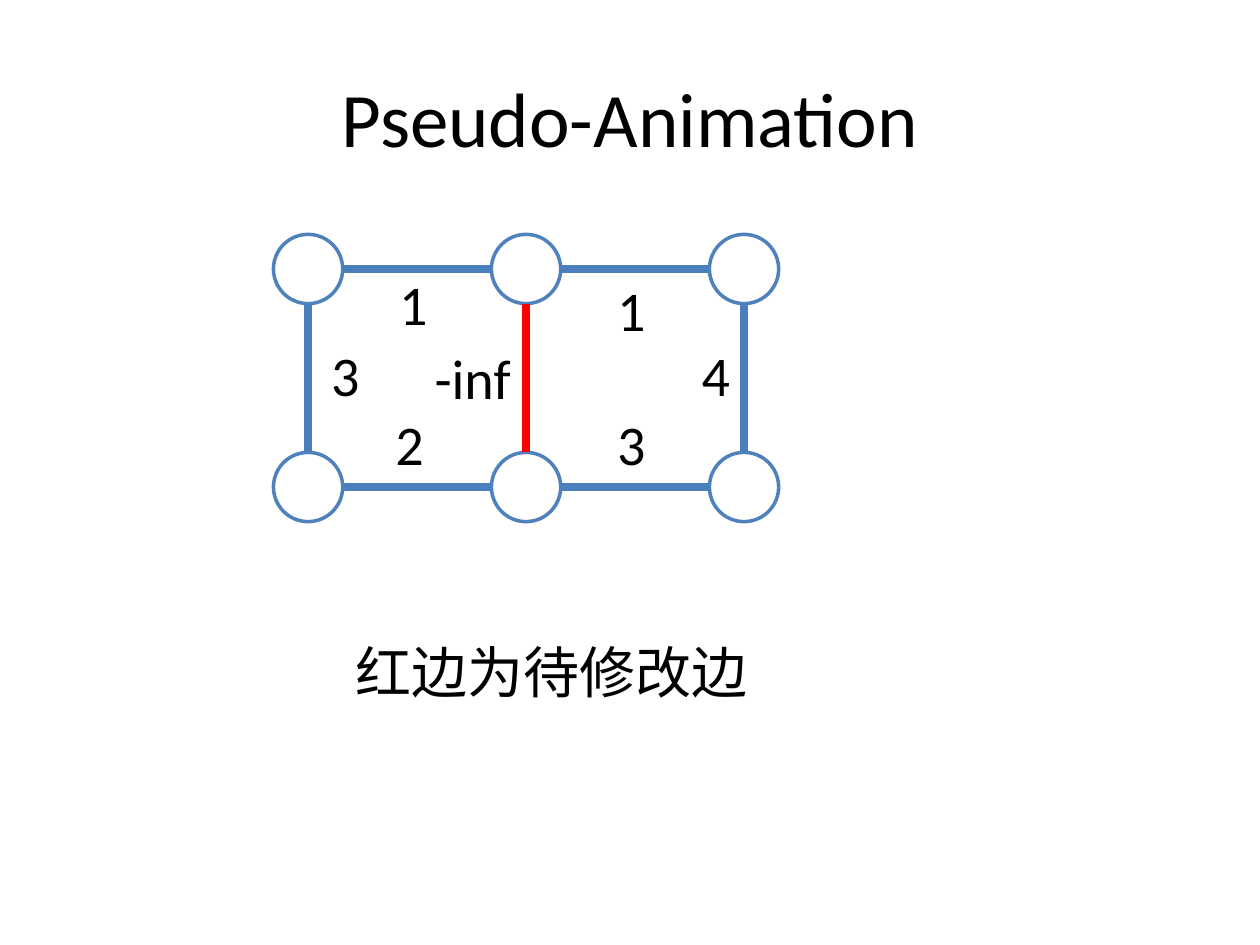
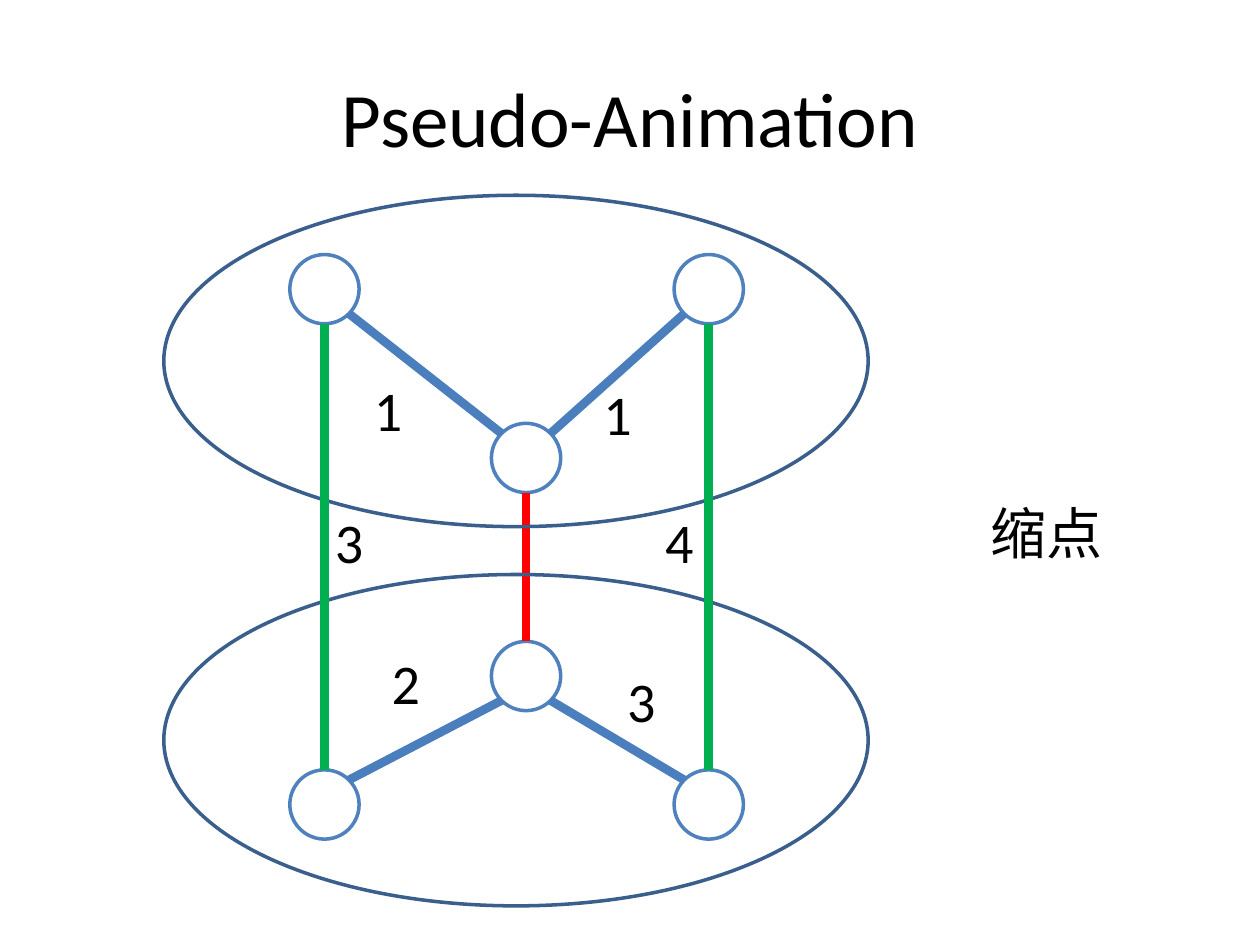
from dataclasses import dataclass
from math import cos, radians, sin

from lxml.etree import SubElement
from pptx import Presentation
from pptx.dml.color import RGBColor
from pptx.enum.shapes import MSO_CONNECTOR, MSO_SHAPE
from pptx.enum.text import MSO_ANCHOR, MSO_AUTO_SIZE, PP_ALIGN
from pptx.oxml.ns import qn
from pptx.shapes.autoshape import Shape
from pptx.slide import Slide
from pptx.util import Inches, Pt

FONT = "Calibri"
BLACK = "000000"
WHITE = "FFFFFF"
NODE_BLUE = "4F81BD"
EDGE_BLUE = "4B7EBC"
GROUP_BLUE = "3A5F8C"
RED = "FF0000"
GREEN = "00B050"
NODE_SIZE = 0.55
LABEL_HEIGHT = 0.64

# Connection sites of an ellipse, counted counterclockwise from the top
TOP, TOP_LEFT, LEFT, BOTTOM_LEFT, BOTTOM, BOTTOM_RIGHT, RIGHT, TOP_RIGHT = range(8)


@dataclass(frozen=True)
class Edge:
    start: str
    start_site: int
    end: str
    end_site: int
    color: str = EDGE_BLUE


@dataclass(frozen=True)
class Label:
    text: str
    left: float
    top: float
    width: float = 0.47
    wrap: bool = True


def rgb(color: str) -> RGBColor:
    return RGBColor.from_string(color)


def style_text(shape: Shape, text: str, size: int) -> None:
    shape.text_frame.text = text
    paragraph = shape.text_frame.paragraphs[0]
    paragraph.font.name = FONT
    paragraph.font.size = Pt(size)
    paragraph.font.color.rgb = rgb(BLACK)


def add_page(deck: Presentation) -> Slide:
    """Add a slide with the shared title."""
    page = deck.slides.add_slide(deck.slide_layouts[5])
    title = page.shapes.title
    title.left, title.top = Inches(0.5), Inches(0.3)
    title.width, title.height = Inches(9), Inches(1.25)
    style_text(title, "Pseudo-Animation", 44)
    title.text_frame.vertical_anchor = MSO_ANCHOR.MIDDLE
    title.text_frame.paragraphs[0].alignment = PP_ALIGN.CENTER
    return page


def add_ellipse(page: Slide, left: float, top: float, width: float,
                height: float, line: str, fill: str | None = None) -> Shape:
    ellipse = page.shapes.add_shape(
        MSO_SHAPE.OVAL, Inches(left), Inches(top), Inches(width), Inches(height))
    ellipse.shadow.inherit = False
    if fill:
        ellipse.fill.solid()
        ellipse.fill.fore_color.rgb = rgb(fill)
    else:
        ellipse.fill.background()
    ellipse.line.color.rgb = rgb(line)
    ellipse.line.width = Pt(2)
    return ellipse


def add_nodes(page: Slide, places: dict[str, tuple[float, float]]) -> dict[str, Shape]:
    return {name: add_ellipse(page, left, top, NODE_SIZE, NODE_SIZE, NODE_BLUE, WHITE)
            for name, (left, top) in places.items()}


def rim_point(node: Shape, site: int) -> tuple[int, int]:
    angle = radians(45 * site)
    return (round(node.left + node.width / 2 * (1 - sin(angle))),
            round(node.top + node.height / 2 * (1 - cos(angle))))


def add_edges(page: Slide, nodes: dict[str, Shape], edges: list[Edge]) -> None:
    """Draw each edge and attach it to the connection sites of its nodes."""
    for edge in edges:
        start, end = nodes[edge.start], nodes[edge.end]
        connector = page.shapes.add_connector(
            MSO_CONNECTOR.STRAIGHT,
            *rim_point(start, edge.start_site), *rim_point(end, edge.end_site))
        connector.line.color.rgb = rgb(edge.color)
        connector.line.width = Pt(5)
        element = connector.element
        SubElement(element.find(qn("p:spPr")), qn("a:effectLst"))
        joints = element.find(f".//{qn('p:cNvCxnSpPr')}")
        for tag, node, site in (("a:stCxn", start, edge.start_site),
                                ("a:endCxn", end, edge.end_site)):
            SubElement(joints, qn(tag), id=str(node.shape_id), idx=str(site))


def add_labels(page: Slide, labels: list[Label]) -> None:
    for label in labels:
        box = page.shapes.add_textbox(Inches(label.left), Inches(label.top),
                                      Inches(label.width), Inches(LABEL_HEIGHT))
        style_text(box, label.text, 32)
        box.text_frame.word_wrap = label.wrap
        box.text_frame.auto_size = MSO_AUTO_SIZE.SHAPE_TO_FIT_TEXT


def build_graph_page(deck: Presentation) -> None:
    page = add_page(deck)
    pitch = 1.73
    nodes = add_nodes(page, {
        f"{row} {column}": (2.17 + x * pitch, 1.86 + y * pitch)
        for y, row in enumerate(("upper", "lower"))
        for x, column in enumerate(("left", "middle", "right"))})
    across = [Edge(f"{row} {start}", RIGHT, f"{row} {end}", LEFT)
              for start, end in (("left", "middle"), ("middle", "right"))
              for row in ("upper", "lower")]
    down = [Edge(f"upper {column}", BOTTOM, f"lower {column}", TOP, color)
            for column, color in (("left", EDGE_BLUE), ("middle", RED),
                                  ("right", EDGE_BLUE))]
    add_edges(page, nodes, across + down)
    add_labels(page, [
        Label("3", 2.53, 2.65),
        Label("1", 3.07, 2.09),
        Label("2", 3.04, 3.2),
        Label("1", 4.8, 2.14),
        Label("4", 5.47, 2.65),
        Label("3", 4.8, 3.2),
        Label("-inf", 3.35, 2.68, 0.91),
        Label("红边为待修改边", 2.72, 5.01, 3.34, wrap=False),
    ])


def build_contraction_page(deck: Presentation) -> None:
    page = add_page(deck)
    columns = {"left": 2.3, "right": 5.35}
    outer = {f"{row} {column}": (left, top)
             for row, top in (("upper", 2.02), ("lower", 6.11))
             for column, left in columns.items()}
    inner = {"upper middle": (3.9, 3.36), "lower middle": (3.9, 5.09)}
    nodes = add_nodes(page, outer | inner)
    add_edges(page, nodes, [
        Edge("upper left", BOTTOM_RIGHT, "upper middle", TOP_LEFT),
        Edge("lower left", TOP_RIGHT, "lower middle", BOTTOM_LEFT),
        Edge("upper middle", TOP_RIGHT, "upper right", BOTTOM_LEFT),
        Edge("lower middle", BOTTOM_RIGHT, "lower right", TOP_LEFT),
        Edge("upper middle", BOTTOM, "lower middle", TOP, RED),
    ])
    for group_top in (1.55, 4.56):
        add_ellipse(page, 1.3, group_top, 5.59, 2.63, GROUP_BLUE)
    add_edges(page, nodes, [Edge(f"upper {column}", BOTTOM, f"lower {column}", TOP, GREEN)
                            for column in columns])
    add_labels(page, [
        Label("1", 2.87, 2.93),
        Label("2", 3.01, 5.1),
        Label("1", 4.69, 2.96),
        Label("3", 4.88, 5.24),
        Label("缩点", 7.76, 3.91, 1.1, wrap=False),
        Label("3", 2.56, 3.98),
        Label("4", 5.18, 3.98),
    ])


def main() -> None:
    deck = Presentation()
    deck.slide_width, deck.slide_height = Inches(10), Inches(7.5)
    build_graph_page(deck)
    build_contraction_page(deck)
    deck.save("out.pptx")


if __name__ == "__main__":
    main()
